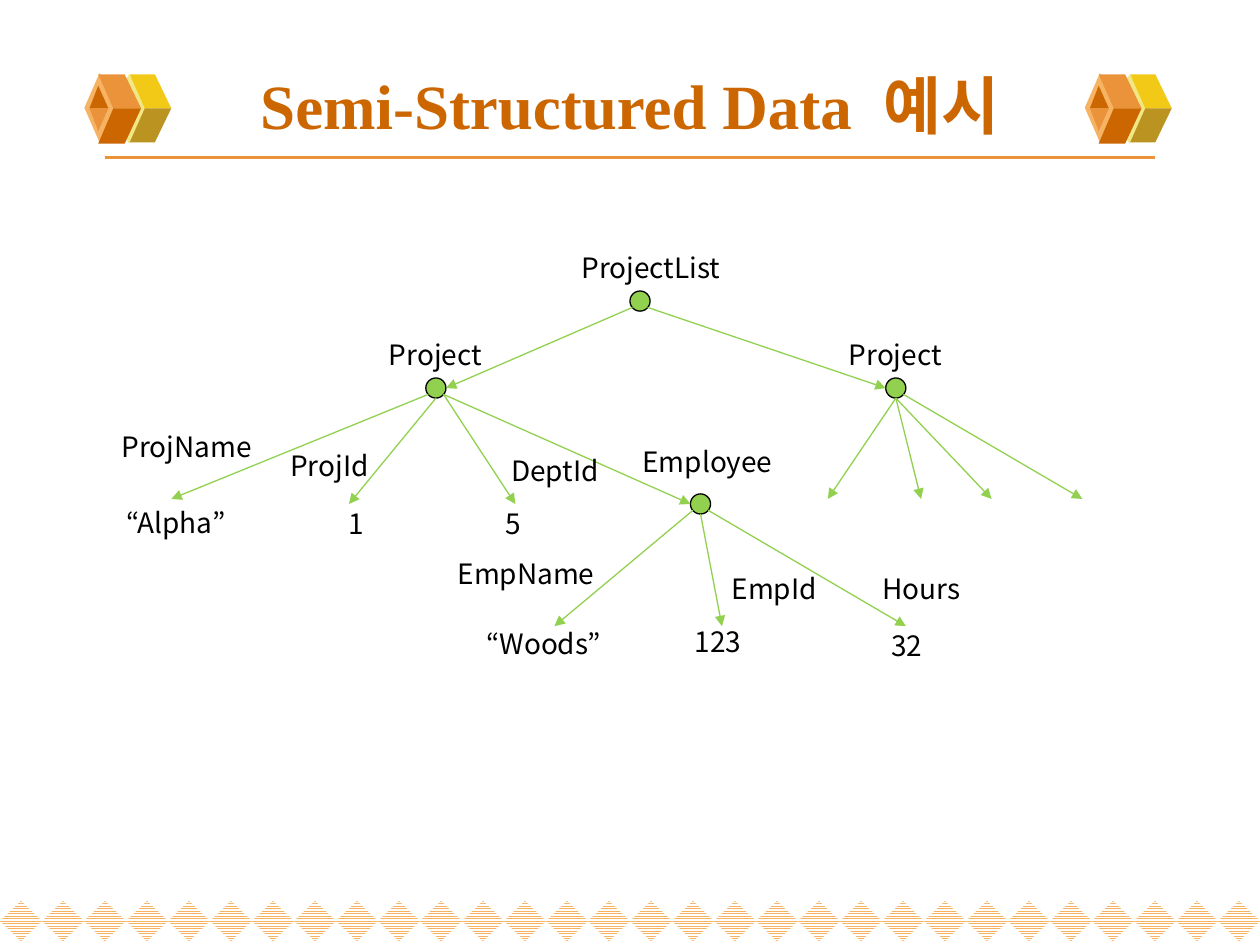
from lxml import etree
from pptx import Presentation
from pptx.dml.color import RGBColor
from pptx.enum.dml import MSO_PATTERN
from pptx.enum.shapes import MSO_CONNECTOR, MSO_SHAPE
from pptx.enum.text import MSO_ANCHOR, MSO_AUTO_SIZE, PP_ALIGN
from pptx.oxml.ns import qn
from pptx.util import Cm, Pt

DIAMOND = MSO_SHAPE.DIAMOND
NODE = MSO_SHAPE.FLOWCHART_CONNECTOR
STRAIGHT = MSO_CONNECTOR.STRAIGHT
STRIPES = MSO_PATTERN.NARROW_HORIZONTAL
CENTER = PP_ALIGN.CENTER
MIDDLE = MSO_ANCHOR.MIDDLE
FIT = MSO_AUTO_SIZE.SHAPE_TO_FIT_TEXT

COLORS = {
    "text": "000000", "white": "FFFFFF", "green": "92D050",
    "rust": "CC6600", "orange": "EB933B", "peach": "F5B363",
    "cream": "F1E785", "yellow": "F3C917", "olive": "BB9321",
}
TITLE_FONT, BODY_FONT = "Times New Roman", "Noto Sans CJK KR"
UNIT = 2.54  # centimetres per layout unit
RADIUS = 0.08


def length(v):
    """Turn layout units into a length."""
    return Cm(v * UNIT)


def rgb(name):
    """Look up a palette colour."""
    return RGBColor.from_string(COLORS[name])


class Deck:
    """Style and current slide."""

    def __init__(self, prs):
        self.s = prs.slides.add_slide(prs.slide_layouts[5])
        self.shapes = self.s.shapes

    def paint(self, sp, fill, line=None):
        """Give a shape a solid fill and an optional thin outline."""
        sp.shadow.inherit = False
        sp.fill.solid()
        sp.fill.fore_color.rgb = rgb(fill)
        if line:
            sp.line.color.rgb = rgb(line)
            sp.line.width = Pt(0.75)
        else:
            sp.line.fill.background()

    def run(self, p, text, font, size, color, bold=False):
        """Add one formatted run."""
        r = p.add_run()
        r.text = text
        r.font.name, r.font.size, r.font.bold = font, Pt(size), bold
        r.font.color.rgb = rgb(color)
        ea = etree.SubElement(r.font._element, qn("a:ea"))
        ea.set("typeface", BODY_FONT)
        return r

    def title(self, words, x, y, w, h):
        """Fill the title placeholder, with widened gaps between its words."""
        sp = self.shapes.title
        sp.left, sp.top, sp.width, sp.height = map(length, (x, y, w, h))
        tf = sp.text_frame
        tf.vertical_anchor = MIDDLE
        p = tf.paragraphs[0]
        p.alignment = CENTER
        for i, word in enumerate(words):
            if i:
                gap = self.run(p, " ", TITLE_FONT, 36, "rust", True)
                gap.font._element.set("spc", "900")
            self.run(p, word, TITLE_FONT, 36, "rust", True)

    def label(self, text, x, y, w):
        """Add a centred label."""
        sp = self.shapes.add_textbox(*map(length, (x, y, w, 0.37)))
        tf = sp.text_frame
        tf.word_wrap = True
        tf.auto_size = FIT
        p = tf.paragraphs[0]
        p.alignment = CENTER
        self.run(p, text, BODY_FONT, 16, "text")

    def shape(self, kind, x, y, w, h, fill, line=None):
        """Add a preset shape."""
        sp = self.shapes.add_shape(kind, *map(length, (x, y, w, h)))
        self.paint(sp, fill, line)
        return sp

    def polygon(self, points, fill):
        """Add a closed outline."""
        pts = [(length(x), length(y)) for x, y in points]
        fb = self.shapes.build_freeform(*pts[0])
        fb.add_line_segments(pts[1:], close=True)
        self.paint(fb.convert_to_shape(), fill)

    def line(self, start, end, color, width, arrow=False):
        """Add a straight line, with an arrowhead at its end if asked."""
        cn = self.shapes.add_connector(
            STRAIGHT, *map(length, (*start, *end)))
        cn.line.color.rgb = rgb(color)
        cn.line.width = Pt(width)
        if arrow:
            head = etree.SubElement(cn.line._get_or_add_ln(), qn("a:tailEnd"))
            head.set("type", "triangle")
        etree.SubElement(cn._element.spPr, qn("a:effectLst"))

    def border(self, count, y):
        """Add the row of striped diamonds."""
        step = 10 / count
        for i in range(count):
            fill = self.shape(DIAMOND, i * step, y, step, 0.32, "white").fill
            fill.patterned()
            fill.pattern = STRIPES
            fill.fore_color.rgb = rgb("peach")
            fill.back_color.rgb = rgb("white")

    def ornament(self, x, y):
        """Add a folded ornament; y is its horizontal axis."""
        def half(dx, dy, inner, fill):
            """Add a slanted face above or below the axis."""
            self.polygon([(x + dx + 0.12, y), (x + dx + inner, y),
                          (x + dx + inner - 0.13, y + dy), (x + dx, y + dy)],
                         fill)

        self.shape(DIAMOND, x + 0.19, y - 0.27, 0.33, 0.55, "cream")
        half(0.36, -0.27, 0.33, "yellow")
        half(0.36, 0.27, 0.33, "olive")
        self.shape(DIAMOND, x, y - 0.28, 0.24, 0.55, "peach")
        half(0.11, -0.27, 0.34, "orange")
        half(0.11, 0.28, 0.34, "rust")
        for dy, fill in ((-0.18, "rust"), (0.18, "orange")):
            self.polygon([(x + 0.11, y + dy), (x + 0.04, y),
                          (x + 0.19, y)], fill)

    def node(self, x, y):
        """Add a tree node centred on a point."""
        self.shape(NODE, x - RADIUS, y - RADIUS, 2 * RADIUS, 2 * RADIUS,
                   "green", "text")


NODES = {"list": (5.08, 2.39), "project": (3.46, 3.08),
         "other": (7.11, 3.08), "employee": (5.56, 4)}
PORTS = {"left": (-0.06, 0.05), "bottom": (0, 0.08), "right": (0.06, 0.05)}
# parent, port, arrow tip
EDGES = [
    ("list", "left", (3.54, 3.08)), ("list", "right", (7.03, 3.08)),
    ("project", "left", (1.36, 3.96)), ("project", "bottom", (2.77, 4)),
    ("project", "right", (4.09, 4)), ("project", "right", (5.48, 4)),
    ("employee", "left", (4.4, 4.97)), ("employee", "bottom", (5.73, 4.97)),
    ("employee", "right", (7.19, 4.97)),
    ("other", "bottom", (6.57, 3.96)), ("other", "bottom", (7.31, 3.96)),
    ("other", "bottom", (7.87, 3.96)), ("other", "right", (8.59, 3.96)),
]
# text, left, top, width
LABELS = [
    ("ProjectList", 4.46, 1.94, 1.41), ("Project", 2.75, 2.63, 1.41),
    ("Project", 6.4, 2.63, 1.41), ("ProjName", 0.84, 3.36, 1.28),
    ("ProjId", 1.91, 3.51, 1.41), ("DeptId", 3.84, 3.55, 1.13),
    ("Employee", 4.91, 3.48, 1.41), ("“Alpha”", 0.75, 3.96, 1.29),
    ("1", 2.57, 3.97, 0.51), ("5", 3.82, 3.97, 0.51),
    ("EmpName", 3.47, 4.37, 1.41), ("EmpId", 5.62, 4.49, 1.05),
    ("Hours", 6.81, 4.49, 1.01), ("“Woods”", 3.54, 4.92, 1.55),
    ("123", 5.34, 4.91, 0.72), ("32", 6.94, 4.94, 0.51),
]


def main():
    """Build and save the slide."""
    prs = Presentation()
    prs.slide_width, prs.slide_height = length(10), length(7.5)
    deck = Deck(prs)
    deck.border(30, 7.15)
    deck.line((0.83, 1.25), (9.17, 1.25), "orange", 2.25)
    for x in (0.67, 8.61):
        deck.ornament(x, 0.86)
    deck.title(["Semi-Structured Data", "예시"], 0.5, 0.45, 9, 0.76)
    for x, y in NODES.values():
        deck.node(x, y)
    for parent, port, tip in EDGES:
        start = [a + b for a, b in zip(NODES[parent], PORTS[port])]
        deck.line(start, tip, "green", 0.75, arrow=True)
    for label in LABELS:
        deck.label(*label)
    prs.save("out.pptx")


main()
